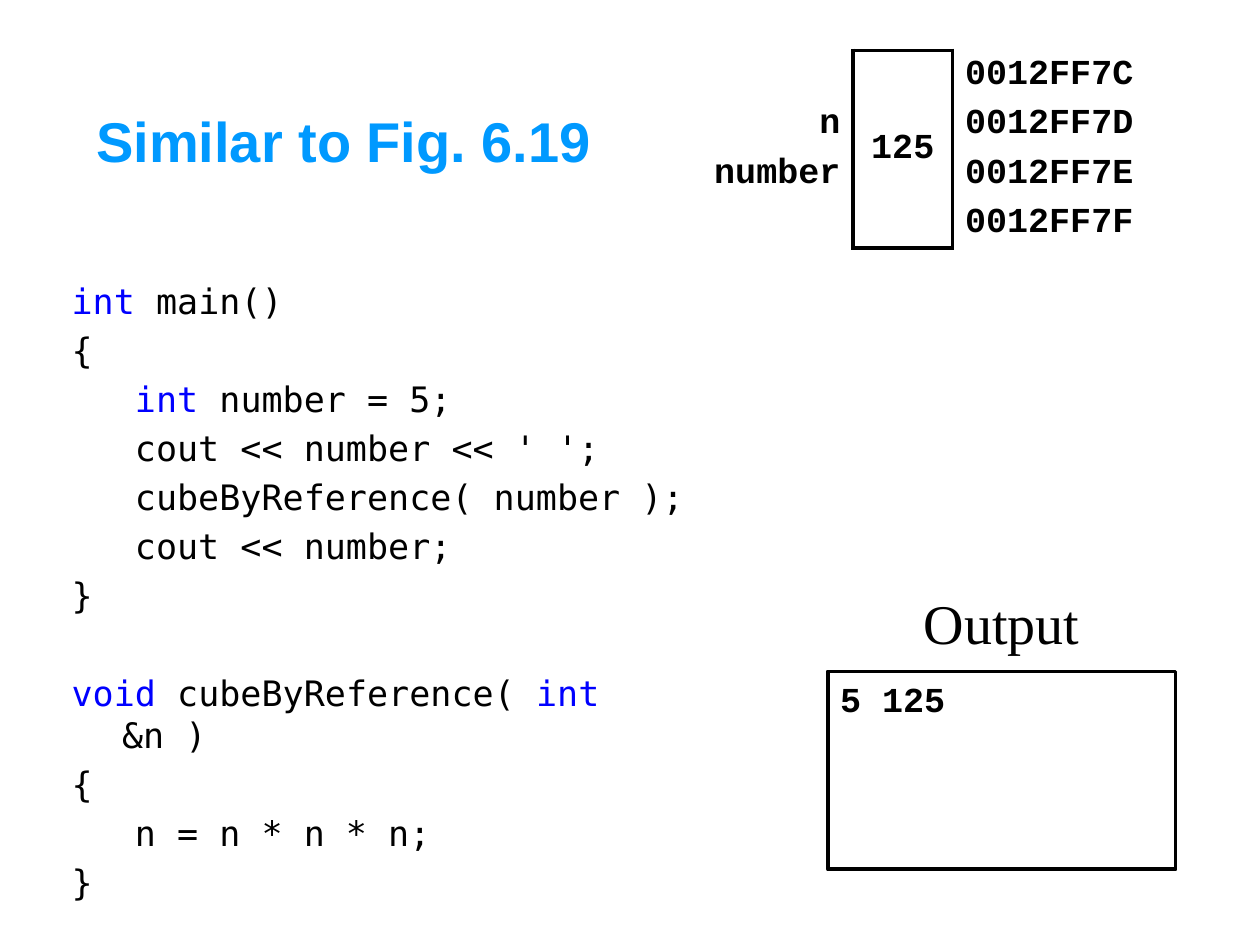
from dataclasses import dataclass

from lxml import etree
from pptx import Presentation
from pptx.dml.color import RGBColor
from pptx.enum.shapes import MSO_SHAPE
from pptx.enum.text import MSO_ANCHOR, PP_ALIGN
from pptx.oxml.ns import qn
from pptx.util import Inches, Pt

RECT = MSO_SHAPE.RECTANGLE
TOP, MIDDLE = MSO_ANCHOR.TOP, MSO_ANCHOR.MIDDLE
LEFT, CENTER, RIGHT = PP_ALIGN.LEFT, PP_ALIGN.CENTER, PP_ALIGN.RIGHT


@dataclass(frozen=True)
class Theme:
    black: RGBColor = RGBColor(0, 0, 0)
    white: RGBColor = RGBColor(255, 255, 255)
    title: RGBColor = RGBColor(0, 0x99, 0xFF)
    keyword: RGBColor = RGBColor(0, 0, 0xFF)
    heading_size: Pt = Pt(32)
    code_size: Pt = Pt(20)
    border: Pt = Pt(2.25)
    line_gap: Pt = Pt(4)
    blank_line: Pt = Pt(32)


T = Theme()
CODE = dict(name="DejaVu Sans Mono", size=T.code_size, bold=False)
MONO = dict(name="Courier New", size=T.code_size, bold=True)
TITLE = dict(name="Arial", size=T.heading_size, bold=True)
HEADING = dict(name="Times New Roman", size=T.heading_size, bold=False)

MAIN = [
    "|int| main()",
    "{",
    "   |int| number = 5;",
    "   cout << number << ' ';",
    "   cubeByReference( number );",
    "   cout << number;",
    "}",
]
CUBE = ["|void |cubeByReference( |int| &n )", "{", "   n = n * n * n;", "}"]
MEMORY = [
    ("", "0012FF7C"),
    ("n", "0012FF7D"),
    ("number", "0012FF7E"),
    ("", "0012FF7F"),
]


def add_run(p, text, style, color=T.black):
    r = p.add_run()
    r.text = text
    for key, value in style.items():
        setattr(r.font, key, value)
    r.font.color.rgb = color


def set_format(target, **values):
    for key, value in values.items():
        setattr(target, key, value)


def add_label(s, box, text, style, color, anchor):
    tf = s.shapes.add_textbox(*map(Inches, box)).text_frame
    set_format(tf, word_wrap=False, vertical_anchor=anchor)
    p = tf.paragraphs[0]
    p.alignment = CENTER
    add_run(p, text, style, color)


def add_code(s, box):
    tf = s.shapes.add_textbox(*map(Inches, box)).text_frame
    tf.word_wrap = True
    for i, line in enumerate(MAIN + CUBE):
        p = tf.paragraphs[0] if i == 0 else tf.add_paragraph()
        pPr = p._p.get_or_add_pPr()
        pPr.set("marL", str(Inches(0.4)))
        pPr.set("indent", str(-Inches(0.4)))
        if i:
            p.space_before = T.blank_line if i == len(MAIN) else T.line_gap
        for j, part in enumerate(line.split("|")):
            if part:
                add_run(p, part, CODE, T.keyword if j % 2 else T.black)


def set_borders(cell, drawn):
    tcPr = cell._tc.get_or_add_tcPr()
    for i, side in enumerate("LRTB"):
        ln = etree.Element(qn(f"a:ln{side}"), w=str(T.border))
        if side in drawn:
            fill = etree.SubElement(ln, qn("a:solidFill"))
            etree.SubElement(fill, qn("a:srgbClr"), val=str(T.black))
        else:
            etree.SubElement(ln, qn("a:noFill"))
        tcPr.insert(i, ln)


def add_memory(s, box):
    table = s.shapes.add_table(len(MEMORY), 3, *map(Inches, box)).table
    table.first_row = table.horz_banding = False
    for column, share in zip(table.columns, (3, 2, 4)):
        column.width = Inches(round(box[2] * share / 9, 2))
    last = len(MEMORY) - 1
    table.cell(0, 1).merge(table.cell(last, 1))
    aligns = (RIGHT, CENTER, LEFT)
    middle_borders = {0: "LRTB", last: "LRB"}
    for i, (name, address) in enumerate(MEMORY):
        texts = (name, "125" if i == 0 else "", address)
        borders = ("R", middle_borders.get(i, "LR"), "L")
        for j, text in enumerate(texts):
            cell = table.cell(i, j)
            cell.fill.background()
            set_format(
                cell,
                vertical_anchor=MIDDLE,
                margin_top=Inches(0.02),
                margin_bottom=Inches(0.02),
                margin_left=Inches(0.02 if j == 0 else 0.1),
            )
            set_borders(cell, borders[j])
            if text:
                p = cell.text_frame.paragraphs[0]
                p.alignment = aligns[j]
                add_run(p, text, MONO)


def add_output(s, box):
    left, top, width, height = box
    heading = 0.79
    sp = s.shapes.add_shape(
        RECT, *map(Inches, (left, top + heading, width, height - heading))
    )
    sp.shadow.inherit = False
    sp.fill.solid()
    sp.fill.fore_color.rgb = T.white
    sp.line.color.rgb = T.black
    sp.line.width = T.border
    tf = sp.text_frame
    set_format(tf, word_wrap=True, vertical_anchor=TOP)
    p = tf.paragraphs[0]
    p.alignment = LEFT
    add_run(p, "5 125", MONO)
    label = (left + (width - 1.57) / 2, top, 1.57, heading)
    add_label(s, label, "Output", HEADING, T.black, MIDDLE)


def main():
    prs = Presentation()
    prs.slide_width, prs.slide_height = Inches(10), Inches(7.5)
    s = prs.slides.add_slide(prs.slide_layouts[6])
    add_code(s, (0.47, 2.17, 5.12, 5.12))
    title_box = (0.65, 0.8, 4.16, 0.64)
    add_label(s, title_box, "Similar to Fig. 6.19", TITLE, T.title, TOP)
    add_memory(s, (5.59, 0.4, 3.54, 1.57))
    add_output(s, (6.57, 4.54, 2.76, 2.36))
    prs.save("out.pptx")


if __name__ == "__main__":
    main()
